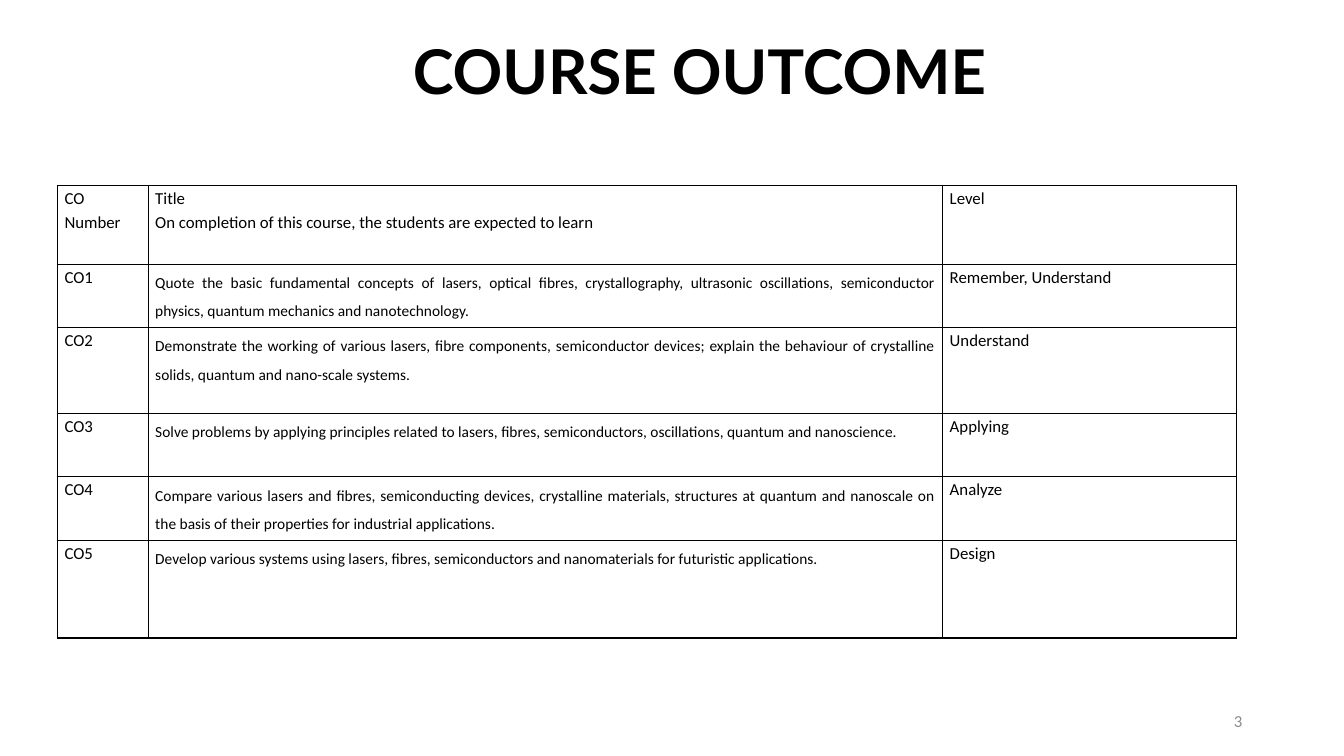
from dataclasses import dataclass

from lxml import etree
from pptx import Presentation
from pptx.dml.color import RGBColor
from pptx.enum.text import MSO_ANCHOR, PP_ALIGN
from pptx.oxml.ns import qn
from pptx.util import Inches, Pt

LEFT, CENTER, RIGHT, JUSTIFY = PP_ALIGN.LEFT, PP_ALIGN.CENTER, PP_ALIGN.RIGHT, PP_ALIGN.JUSTIFY
TOP, MIDDLE = MSO_ANCHOR.TOP, MSO_ANCHOR.MIDDLE


@dataclass(frozen=True)
class Theme:
    black: str = "000000"
    grey: str = "8C8C8C"
    title_font: str = "Lato"
    body_font: str = "Calibri"
    title_size: float = 44
    label_size: float = 12
    outcome_size: float = 11
    border_width: float = 1


@dataclass(frozen=True)
class Outcome:
    number: str
    title: str
    level: str
    height: float


THEME = Theme()
COLUMN_WIDTHS = (0.9, 7.88, 2.91)
HEADER = Outcome(
    "CO Number",
    "Title\nOn completion of this course, the students are expected to learn",
    "Level",
    0.78,
)
OUTCOMES = (
    Outcome("CO1", "Quote the basic fundamental concepts of lasers, optical fibres, "
            "crystallography, ultrasonic oscillations, semiconductor physics, "
            "quantum mechanics and nanotechnology.", "Remember, Understand", 0.63),
    Outcome("CO2", "Demonstrate the working of various lasers, fibre components, "
            "semiconductor devices; explain the behaviour of crystalline solids, "
            "quantum and nano-scale systems.", "Understand", 0.85),
    Outcome("CO3", "Solve problems by applying principles related to lasers, fibres, "
            "semiconductors, oscillations, quantum and nanoscience.", "Applying", 0.63),
    Outcome("CO4", "Compare various lasers and fibres, semiconducting devices, "
            "crystalline materials, structures at quantum and nanoscale on the basis "
            "of their properties for industrial applications.", "Analyze", 0.63),
    Outcome("CO5", "Develop various systems using lasers, fibres, semiconductors and "
            "nanomaterials for futuristic applications.", "Design", 0.97),
)


def write_text(text_frame, text: str, *, size: float, font: str = THEME.body_font,
               color: str = THEME.black, bold: bool = False, align=LEFT,
               spacing: float = 1.0) -> None:
    """Write one paragraph for each line of the text."""
    text_frame.word_wrap = True
    for index, line in enumerate(text.split("\n")):
        paragraph = text_frame.add_paragraph() if index else text_frame.paragraphs[0]
        paragraph.alignment = align
        paragraph.line_spacing = spacing
        run = paragraph.add_run()
        run.text = line
        run.font.name = font
        run.font.size = Pt(size)
        run.font.bold = bold
        run.font.color.rgb = RGBColor.from_string(color)


def add_text_box(slide, left: float, top: float, width: float, height: float,
                 text: str, anchor=TOP, **text_format) -> None:
    box = slide.shapes.add_textbox(Inches(left), Inches(top), Inches(width), Inches(height))
    box.text_frame.vertical_anchor = anchor
    write_text(box.text_frame, text, **text_format)


def format_cell(cell) -> None:
    """Set narrow margins, no fill and a thin line on all four sides."""
    cell.margin_left = cell.margin_right = Inches(0.07)
    cell.margin_top = cell.margin_bottom = 0
    cell.fill.background()
    properties = cell._tc.get_or_add_tcPr()
    for index, side in enumerate(("a:lnL", "a:lnR", "a:lnT", "a:lnB")):
        line = etree.Element(qn(side), w=str(Pt(THEME.border_width)))
        fill = etree.SubElement(line, qn("a:solidFill"))
        etree.SubElement(fill, qn("a:srgbClr"), val=THEME.black)
        properties.insert(index, line)


def add_outcome_table(slide, left: float, top: float) -> None:
    records = (HEADER, *OUTCOMES)
    table = slide.shapes.add_table(
        len(records), len(COLUMN_WIDTHS), Inches(left), Inches(top),
        Inches(sum(COLUMN_WIDTHS)), Inches(sum(record.height for record in records)),
    ).table
    table.first_row = table.horz_banding = False
    for column, width in zip(table.columns, COLUMN_WIDTHS):
        column.width = Inches(width)

    label_format = dict(size=THEME.label_size, spacing=1.15)
    outcome_format = dict(size=THEME.outcome_size, spacing=1.5, align=JUSTIFY)
    for row, record in zip(table.rows, records):
        row.height = Inches(record.height)
        title_format = label_format if record is HEADER else outcome_format
        formats = (label_format, title_format, label_format)
        texts = (record.number, record.title, record.level)
        for cell, text, text_format in zip(row.cells, texts, formats):
            format_cell(cell)
            write_text(cell.text_frame, text, **text_format)


def main() -> None:
    presentation = Presentation()
    presentation.slide_width = Inches(13.33)
    presentation.slide_height = Inches(7.5)
    slide = presentation.slides.add_slide(presentation.slide_layouts[6])
    add_text_box(slide, 9.42, 6.95, 3, 0.4, "3", anchor=MIDDLE, align=RIGHT,
                 size=THEME.label_size, color=THEME.grey)
    add_text_box(slide, 2.29, 0.28, 9.3, 1.25, "COURSE OUTCOME", align=CENTER, bold=True,
                 size=THEME.title_size, font=THEME.title_font)
    add_outcome_table(slide, 0.57, 1.84)
    presentation.save("out.pptx")


if __name__ == "__main__":
    main()
